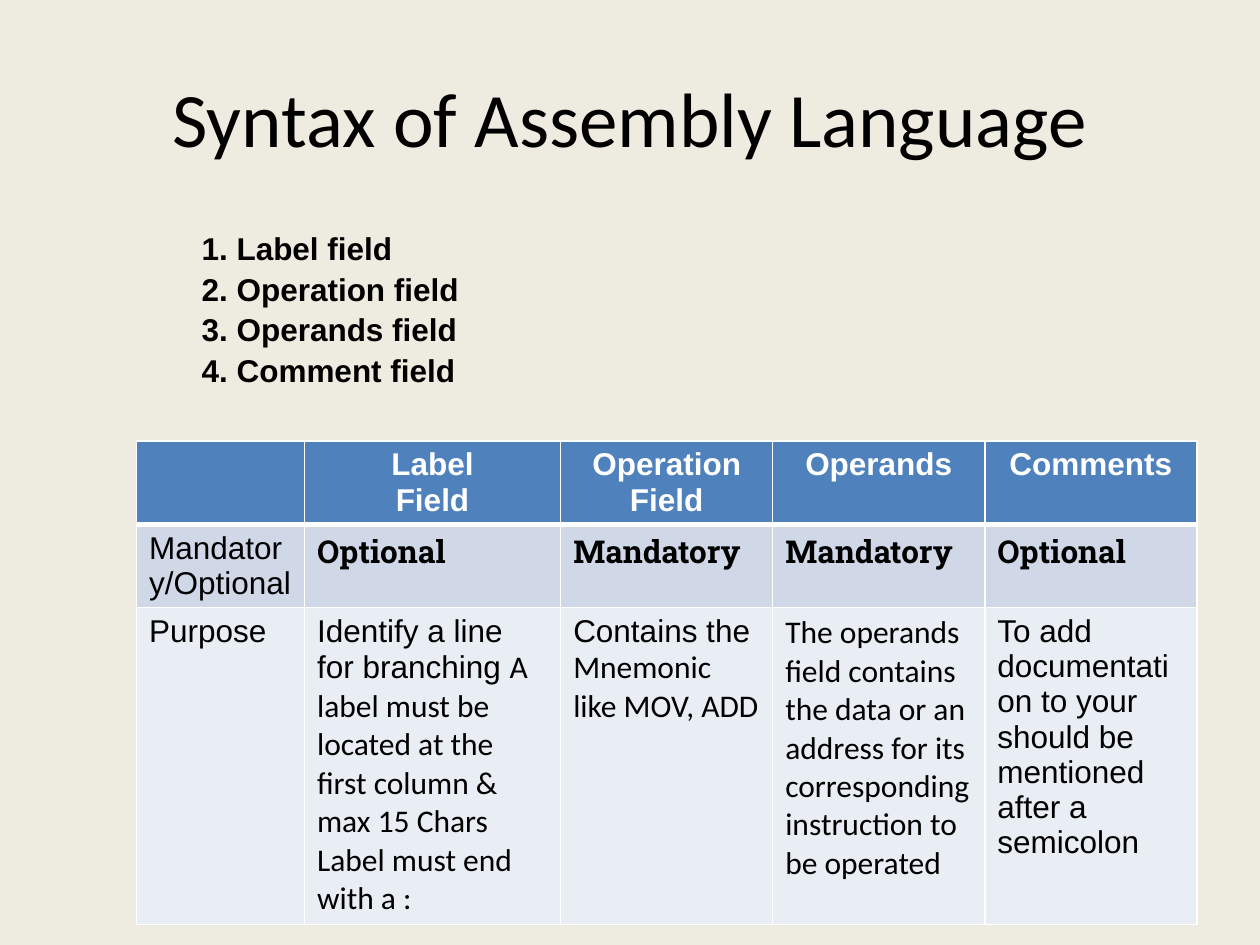
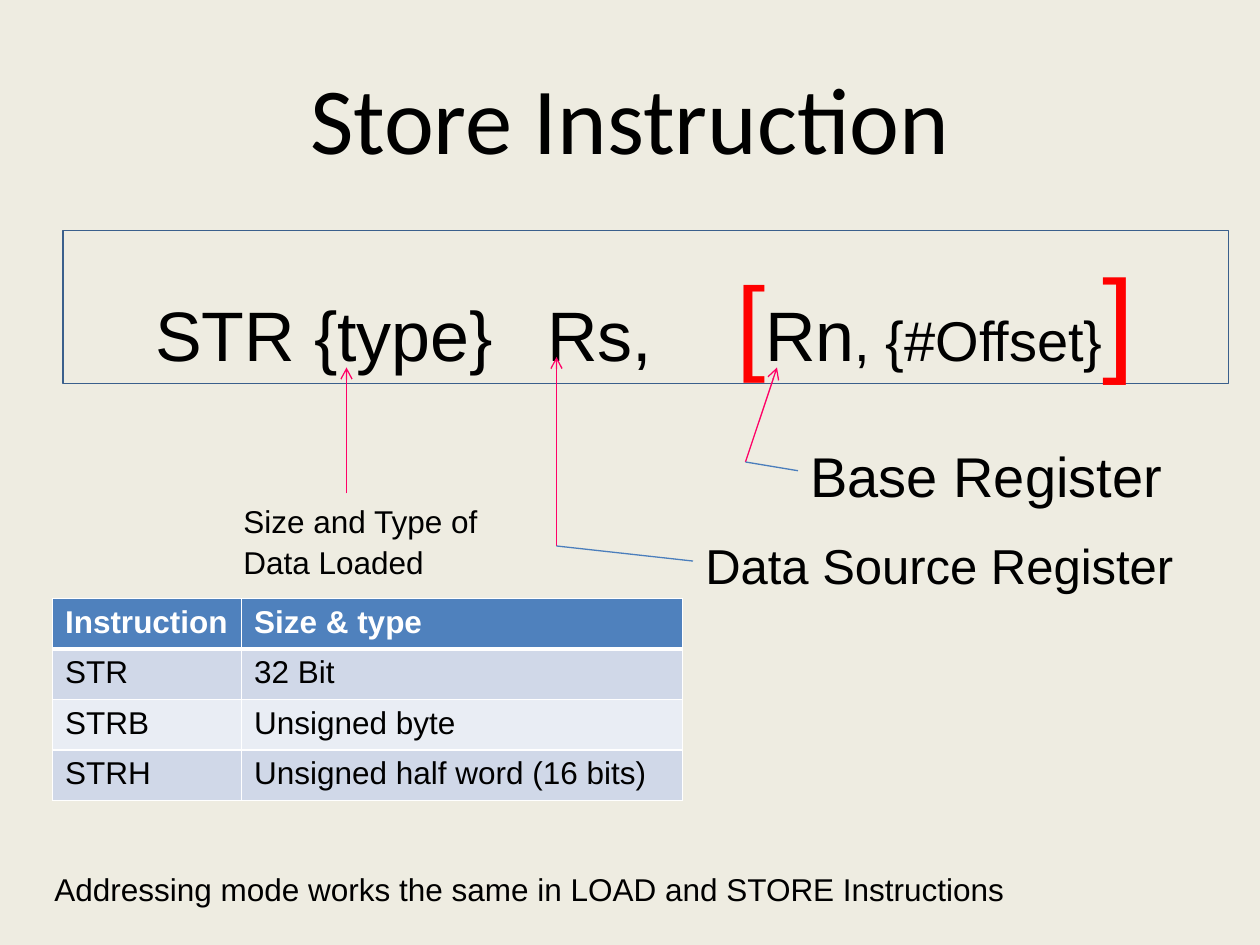
from lxml import etree
from pptx import Presentation
from pptx.dml.color import RGBColor
from pptx.enum import shapes, text
from pptx.oxml import ns
from pptx.util import Pt

BACKGROUND = RGBColor(0xEE, 0xEC, 0xE1)
BLACK = RGBColor(0, 0, 0)
WHITE = RGBColor(0xFF, 0xFF, 0xFF)
RED = RGBColor(0xFF, 0, 0)
PINK = RGBColor(0xFF, 0, 0x66)
BLUE = RGBColor(0x4B, 0x7E, 0xBC)
FRAME_BLUE = RGBColor(0x3A, 0x5F, 0x8C)
HEADER_BLUE = RGBColor(0x4F, 0x81, 0xBD)
BANDS = (RGBColor(0xD0, 0xD8, 0xE8), RGBColor(0xE9, 0xED, 0xF4))

SANS, TITLE_FONT, SLAB = "Arial", "Calibri", "Roboto Slab"
LEFT, CENTER = text.PP_ALIGN.LEFT, text.PP_ALIGN.CENTER
TITLE_LAYOUT, BODY_LAYOUT = 5, 1
LOOSE = 1.07


def add_xml(parent, tag, **attributes):
    return etree.SubElement(parent, ns.qn(tag), attributes)


def write(frame, paragraphs, size=18, font=SANS, color=BLACK, bold=False,
          align=LEFT, spacing=1.0):
    """Each paragraph is a string or a list of (string, format changes)."""
    frame.word_wrap = True
    for index, content in enumerate(paragraphs):
        paragraph = frame.paragraphs[0] if index == 0 else frame.add_paragraph()
        paragraph.alignment = align
        paragraph.line_spacing = spacing
        paragraph.space_before = Pt(0)
        parts = [(content, {})] if isinstance(content, str) else content
        for words, changes in parts:
            run = paragraph.add_run()
            run.text = words
            run.font.size = Pt(changes.get("size", size))
            run.font.name = changes.get("font", font)
            run.font.bold = bold
            run.font.color.rgb = changes.get("color", color)


def set_borders(cell, bottom):
    properties = cell._tc.get_or_add_tcPr()
    for index, side in enumerate(("lnL", "lnR", "lnT", "lnB")):
        width = bottom if side == "lnB" else 1
        line = etree.Element(ns.qn("a:" + side), w=str(Pt(width)))
        add_xml(add_xml(line, "a:solidFill"), "a:srgbClr", val=str(WHITE))
        properties.insert(index, line)


class Deck:
    def __init__(self):
        self.presentation = Presentation()
        self.presentation.slide_width = Pt(720)
        self.presentation.slide_height = Pt(540)
        fill = self.presentation.slide_master.background.fill
        fill.solid()
        fill.fore_color.rgb = BACKGROUND
        self.slide = None

    def place(self, shape, box):
        shape.left, shape.top, shape.width, shape.height = map(Pt, box)

    def start(self, title, size, layout=TITLE_LAYOUT):
        layouts = self.presentation.slide_layouts
        self.slide = self.presentation.slides.add_slide(layouts[layout])
        shape = self.slide.shapes.title
        self.place(shape, (36, 21.6, 648, 90))
        shape.text_frame.vertical_anchor = text.MSO_ANCHOR.MIDDLE
        write(shape.text_frame, [title], size=size, font=TITLE_FONT, align=CENTER)

    def body(self, box, lines):
        shape = self.slide.placeholders[1]
        self.place(shape, box)
        frame = shape.text_frame
        frame.auto_size = text.MSO_AUTO_SIZE.NONE
        write(frame, lines, bold=True, spacing=LOOSE)
        for paragraph in frame.paragraphs:
            properties = paragraph._p.get_or_add_pPr()
            properties.set("marL", "0")
            properties.set("indent", "0")
            add_xml(properties, "a:buNone")

    def label(self, box, lines, size=18):
        shape = self.slide.shapes.add_textbox(*map(Pt, box))
        write(shape.text_frame, lines, size=size, spacing=LOOSE)
        return shape

    def framed(self, box, parts, size, inset, tabs):
        """Outlined box holding one line whose parts sit on tab stops."""
        shape = self.slide.shapes.add_shape(
            shapes.MSO_SHAPE.RECTANGLE, *map(Pt, box))
        shape.shadow.inherit = False
        shape.fill.background()
        shape.line.color.rgb = FRAME_BLUE
        shape.line.width = Pt(0.75)
        frame = shape.text_frame
        frame.vertical_anchor = text.MSO_ANCHOR.TOP
        frame.margin_left = Pt(inset)
        write(frame, [parts], size=size, spacing=LOOSE)
        stops = add_xml(frame.paragraphs[0]._p.get_or_add_pPr(), "a:tabLst")
        for tab in tabs:
            add_xml(stops, "a:tab", pos=str(Pt(tab)), algn="l")

    def line(self, start, end, color, arrow=False, target=None):
        connector = self.slide.shapes.add_connector(
            shapes.MSO_CONNECTOR.STRAIGHT, *map(Pt, start + end))
        connector.line.color.rgb = color
        connector.line.width = Pt(0.75)
        if arrow:
            add_xml(connector.line._get_or_add_ln(), "a:tailEnd", type="arrow")
        add_xml(connector._element.spPr, "a:effectLst")
        if target is not None:
            connector.end_connect(target, 1)

    def table(self, left, top, widths, heights, rows, header_align=LEFT):
        """Each cell is (paragraphs, format changes) or a plain string."""
        table = self.slide.shapes.add_table(
            len(rows), len(widths), Pt(left), Pt(top),
            Pt(sum(widths)), Pt(sum(heights))).table
        for column, width in zip(table.columns, widths):
            column.width = Pt(width)
        for r, (height, row) in enumerate(zip(heights, rows)):
            table.rows[r].height = Pt(height)
            style = {}
            if r == 0:
                style = dict(color=WHITE, bold=True, align=header_align)
            for c, content in enumerate(row):
                cell = table.cell(r, c)
                cell.fill.solid()
                cell.fill.fore_color.rgb = BANDS[(r - 1) % 2] if r else HEADER_BLUE
                set_borders(cell, bottom=1 if r else 3)
                if isinstance(content, str):
                    content = ([content], {})
                paragraphs, changes = content
                if paragraphs != [""]:
                    write(cell.text_frame, paragraphs, **{**style, **changes})


def slab(words):
    return [words], dict(font=SLAB, bold=True)


def build_syntax(deck):
    deck.start("Syntax of Assembly Language", 44, BODY_LAYOUT)
    deck.body((108, 126, 330, 94.3), [
        "1. Label field", "2. Operation field",
        "3. Operands field", "4. Comment field"])

    # Field comparison
    calibri = dict(font=TITLE_FONT)
    deck.table(78, 252, [96, 146.4, 121.2, 121.2, 121.2], [47.5, 47.5, 181], [
        ["", (["Label", "Field"], {}), "Operation Field", "Operands", "Comments"],
        ["Mandatory/Optional", slab("Optional"), slab("Mandatory"),
         slab("Mandatory"), slab("Optional")],
        ["Purpose",
         ([[("Identify a line for branching ", {}),
            ("A label must be located at the first column & max 15 Chars "
             "Label must end with a :", calibri)]], {}),
         ([[("Contains the ", {}), ("Mnemonic like MOV, ADD", calibri)]], {}),
         (["The operands field contains the data or an address for its "
           "corresponding", "instruction to be operated"], calibri),
         "To add documentation to your should be mentioned after a semicolon"],
    ], header_align=CENTER)


def build_store(deck):
    deck.start("Store Instruction", 54)

    # Instruction format
    deck.framed((36, 131.8, 666, 87.2), [
        ("STR {type}\tRs,\t", {}),
        ("[", dict(size=60, color=RED)),
        ("Rn", {}),
        (", {#Offset}", dict(size=32)),
        ("]", dict(size=66, color=RED)),
    ], size=40, inset=52.6, tabs=[224, 332])

    # Explanations and their pointers
    source = deck.label((396, 300, 285, 41.2), ["Data Source Register"], 28)
    base = deck.label((456, 246, 226, 46), ["Base Register"], 32)
    deck.label((132, 282, 151, 51), ["Size and Type of", "Data Loaded"])
    deck.line((198, 282), (198, 210), PINK, arrow=True)
    for corner, tip, label in (((318, 312), (318, 204), source),
                               ((426, 264), (444, 210), base)):
        deck.line(corner, tip, PINK, arrow=True)
        label_side = (label.left.pt, (label.top + label.height / 2) / Pt(1))
        deck.line(corner, label_side, BLUE, target=label)

    # Store variants
    deck.table(30, 342, [108, 252], [28.8] * 4, [
        ["Instruction", "Size & type"],
        ["STR", "32 Bit"],
        ["STRB", "Unsigned byte"],
        ["STRH", "Unsigned half word (16 bits)"],
    ])
    deck.label((24, 492, 654, 29), [
        "Addressing mode works the same in LOAD and STORE Instructions"])


def main():
    deck = Deck()
    build_syntax(deck)
    build_store(deck)
    deck.presentation.save("out.pptx")


if __name__ == "__main__":
    main()
